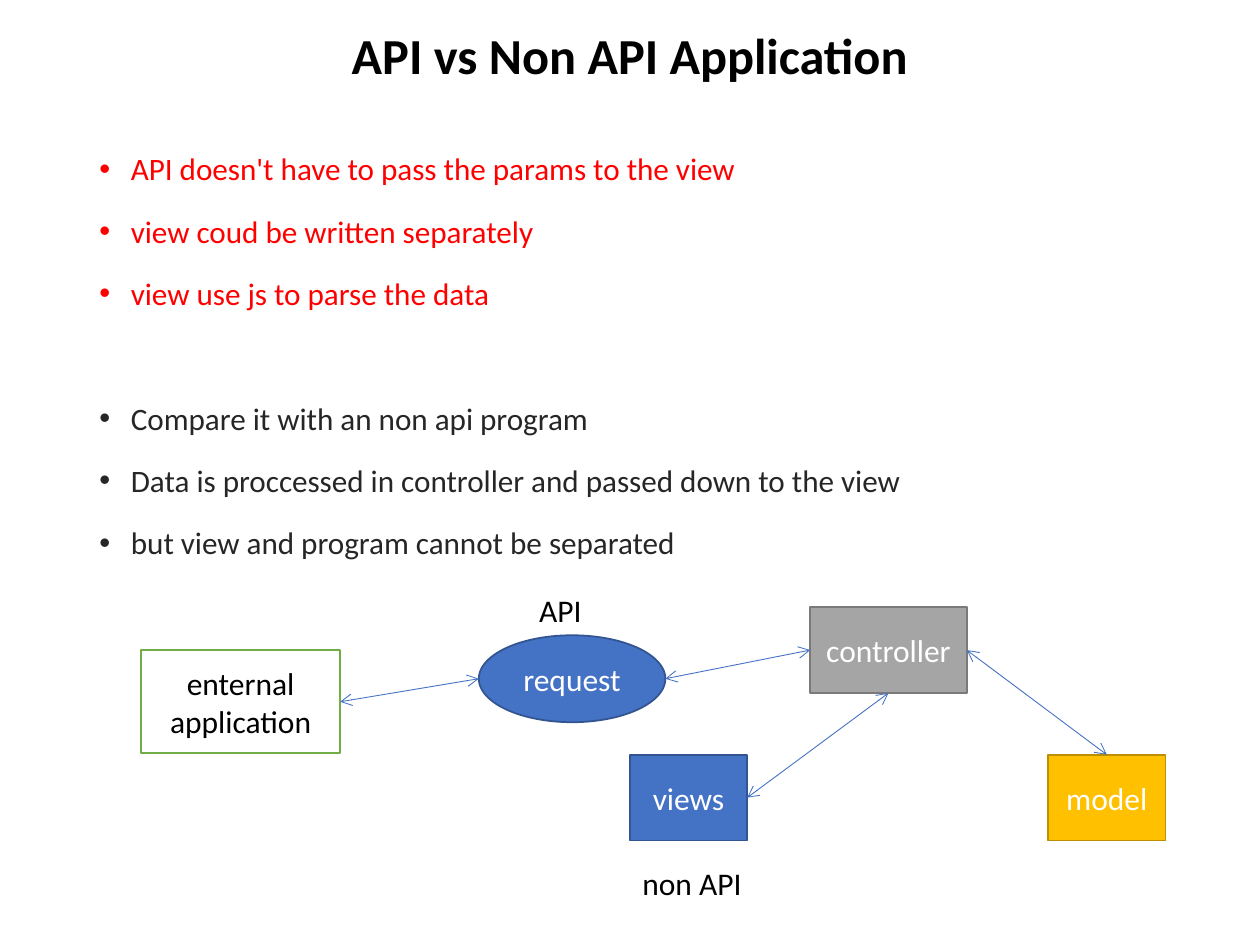
from lxml.etree import SubElement
from pptx import Presentation
from pptx.dml.color import RGBColor
from pptx.enum.shapes import MSO_CONNECTOR, MSO_SHAPE
from pptx.enum.text import MSO_ANCHOR, PP_ALIGN
from pptx.oxml.ns import qn
from pptx.util import Pt

COLORS = {
    "black": "000000", "white": "FFFFFF", "red": "FF0000", "dark": "262626",
    "blue": "4472C4", "blue_line": "325491", "gray": "A5A5A5", "gray_line": "7A7A7A",
    "gold": "FFC000", "gold_line": "BD8E00", "green": "70AD47",
}
API_POINTS = [
    "API doesn't have to pass the params to the view",
    "view coud be written separately",
    "view use js to parse the data",
]
NON_API_POINTS = [
    "Compare it with an non api program",
    "Data is proccessed in controller and passed down to the view",
    "but view and program cannot be separated",
]
SIDES = {"top": (0.5, 0), "left": (0, 0.5), "bottom": (0.5, 1), "right": (1, 0.5)}


def rgb(name):
    """Return the palette colour with this name."""
    return RGBColor.from_string(COLORS[name])


def write(p, text, size, color, bold=False):
    """Fill a paragraph with text in one style."""
    p.text = text
    font = p.runs[0].font
    font.name, font.size, font.bold = "Calibri", Pt(size), bold
    font.color.rgb = rgb(color)


def add_text(shapes, x, y, w, h):
    """Add a wrapping text box and return its text frame."""
    tf = shapes.add_textbox(Pt(x), Pt(y), Pt(w), Pt(h)).text_frame
    tf.word_wrap = True
    return tf


def add_title(s, x, y, w, h):
    """Place the centred heading."""
    tf = add_text(s.shapes, x, y, w, h)
    tf.vertical_anchor = MSO_ANCHOR.MIDDLE
    p = tf.paragraphs[0]
    p.alignment, p.line_spacing = PP_ALIGN.CENTER, 0.9
    write(p, "API vs Non API Application", 28.8, "black", True)


def add_bullets(s, x, y, w, h):
    """Place the two bullet groups, set apart by one line of space."""
    tf = add_text(s.shapes, x, y, w, h)
    for group, color in ((API_POINTS, "red"), (NON_API_POINTS, "dark")):
        for i, text in enumerate(group):
            first = group is API_POINTS and i == 0
            p = tf.paragraphs[0] if first else tf.add_paragraph()
            write(p, text, 17.8, color)
            p.line_spacing = 1.2
            p.space_before = Pt(45.6 if group is NON_API_POINTS and i == 0 else 10)
            pPr = p._p.get_or_add_pPr()
            pPr.set("marL", str(Pt(18)))
            pPr.set("indent", str(-Pt(18)))
            SubElement(pPr, qn("a:buFont")).set("typeface", "Arial")
            SubElement(pPr, qn("a:buChar")).set("char", "•")


def add_node(shapes, text, kind, x, y, w, h, fill, line, color="white"):
    """Add a labelled node and return it."""
    sp = shapes.add_shape(kind, Pt(x), Pt(y), Pt(w), Pt(h))
    sp.shadow.inherit = False
    sp.fill.solid()
    sp.fill.fore_color.rgb = rgb(fill)
    sp.line.color.rgb = rgb(line)
    sp.line.width = Pt(1)
    tf = sp.text_frame
    tf.word_wrap, tf.vertical_anchor = True, MSO_ANCHOR.MIDDLE
    tf.paragraphs[0].alignment = PP_ALIGN.CENTER
    write(tf.paragraphs[0], text, 18, color)
    return sp


def side_point(sp, side):
    """Return the middle of one side of a node."""
    fx, fy = SIDES[side]
    return int(sp.left + fx * sp.width), int(sp.top + fy * sp.height)


def link(shapes, start, start_side, end, end_side):
    """Join two nodes with a double-headed arrow."""
    c = shapes.add_connector(MSO_CONNECTOR.STRAIGHT, *side_point(start, start_side),
                             *side_point(end, end_side))
    c.line.color.rgb = rgb("blue")
    c.line.width = Pt(0.5)
    ln = c.line._get_or_add_ln()
    for tag in ("a:headEnd", "a:tailEnd"):
        SubElement(ln, qn(tag)).set("type", "arrow")
    SubElement(c._element.spPr, qn("a:effectLst"))


def add_diagram(s, x, y):
    """Place the request flow with its two captions."""
    rect = MSO_SHAPE.RECTANGLE
    flow = s.shapes.add_group_shape().shapes
    views = add_node(flow, "views", rect, x + 280, y + 97.3, 67, 49, "blue", "blue_line")
    controller = add_node(flow, "controller", rect, x + 383, y + 13, 89.5, 49,
                          "gray", "gray_line")
    model = add_node(flow, "model", rect, x + 519, y + 97.3, 67, 49, "gold", "gold_line")
    request = add_node(flow, "request", MSO_SHAPE.OVAL, x + 193.6, y + 29, 106.6, 49.7,
                       "blue", "blue_line")
    link(flow, request, "right", controller, "left")
    link(flow, views, "right", controller, "bottom")
    link(flow, controller, "right", model, "top")
    for text, dx, dy, w in (("API", 221, 0, 59), ("non API", 280, 156.3, 77)):
        write(add_text(s.shapes, x + dx, y + dy, w, 29).paragraphs[0], text, 18, "black")
    client = add_node(s.shapes, "enternal application", rect, x + 0.6, y + 37.5, 113.8, 59,
                      "white", "green", "black")
    link(s.shapes, client, "right", request, "left")


def main():
    """Build and save the slide."""
    prs = Presentation()
    prs.slide_width, prs.slide_height = Pt(720), Pt(540)
    s = prs.slides.add_slide(prs.slide_layouts[6])
    add_title(s, 49.7, 12.2, 620.6, 41.8)
    add_bullets(s, 49.7, 77.8, 620.6, 441.4)
    add_diagram(s, 80, 334)
    prs.save("out.pptx")


if __name__ == "__main__":
    main()
